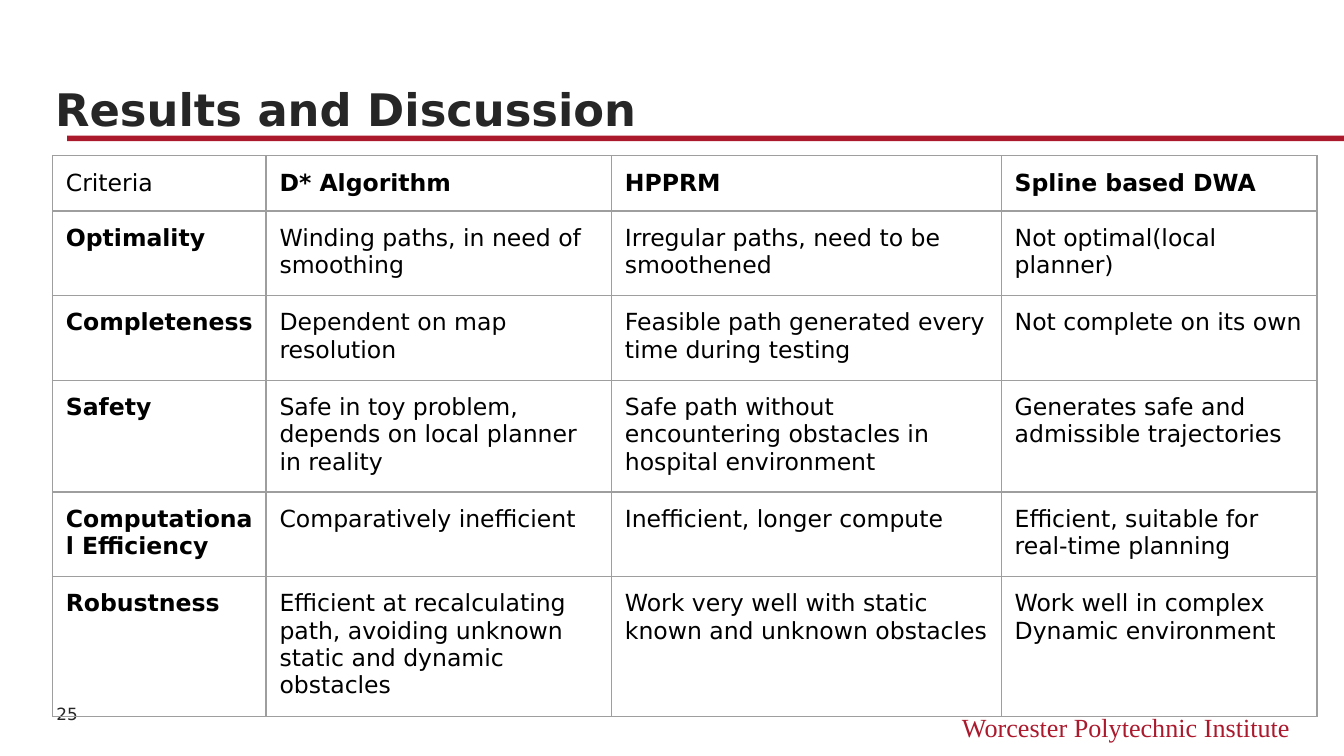
from lxml.etree import SubElement
from pptx import Presentation
from pptx.dml.color import RGBColor
from pptx.enum.shapes import MSO_SHAPE as Shape
from pptx.enum.text import MSO_ANCHOR as Anchor, PP_ALIGN as Align
from pptx.oxml.ns import qn
from pptx.util import Inches, Pt

CRIMSON, INK, BLACK, GRID = "AB192D", "262626", "000000", "9E9E9E"
SANS, SERIF = "DejaVu Sans", "Times New Roman"


def color(hex_string):
    return RGBColor.from_string(hex_string)


def write(holder, frame, text, size, ink=INK, font=SANS, bold=False,
          align=Align.LEFT, inset=(0.07, 0.04)):
    """Put one formatted paragraph in frame; holder carries the margins."""
    holder.margin_left = holder.margin_right = Inches(inset[0])
    holder.margin_top = holder.margin_bottom = Inches(inset[1])
    paragraph = frame.paragraphs[0]
    paragraph.alignment = align
    run = paragraph.add_run()
    run.text = text
    run.font.size, run.font.name, run.font.bold = Pt(size), font, bold
    run.font.color.rgb = color(ink)


prs = Presentation()
prs.slide_width = Inches(10)
prs.slide_height = prs.slide_width * 9 // 16
slide = prs.slides.add_slide(prs.slide_layouts[6])

# Title rule, running to the right edge
rule_left = prs.slide_width // 20
rule = slide.shapes.add_shape(Shape.RECTANGLE, rule_left, Inches(1.01),
                              prs.slide_width - rule_left, Inches(0.04))
rule.shadow.inherit = False
rule.fill.solid()
rule.fill.fore_color.rgb = color(CRIMSON)
rule.line.fill.background()

# Institute, title and page number
labels = [
    ("Worcester Polytechnic Institute", (6, 5.25, 3.67, 0.31), Anchor.TOP,
     dict(size=14, ink=CRIMSON, font=SERIF, align=Align.RIGHT)),
    ("Results and Discussion", (0.34, 0.42, 9.32, 0.63), Anchor.BOTTOM,
     dict(size=24, bold=True)),
    ("25", (0.35, 5.1, 0.6, 0.43), Anchor.MIDDLE, dict(size=9)),
]
for text, place, anchor, style in labels:
    frame = slide.shapes.add_textbox(*map(Inches, place)).text_frame
    frame.word_wrap = True
    frame.vertical_anchor = anchor
    write(frame, frame, text, **style)

# Comparison of planners
comparison = [
    ("Criteria", "D* Algorithm", "HPPRM", "Spline based DWA"),
    ("Optimality", "Winding paths, in need of smoothing",
     "Irregular paths, need to be smoothened", "Not optimal(local planner)"),
    ("Completeness", "Dependent on map resolution",
     "Feasible path generated every time during testing",
     "Not complete on its own"),
    ("Safety", "Safe in toy problem, depends on local planner in reality",
     "Safe path without encountering obstacles in hospital environment",
     "Generates safe and admissible trajectories"),
    ("Computational Efficiency", "Comparatively inefficient",
     "Inefficient, longer compute",
     "Efficient, suitable for real-time planning"),
    ("Robustness", "Efficient at recalculating path, avoiding unknown static "
     "and dynamic obstacles",
     "Work very well with static known and unknown obstacles",
     "Work well in complex Dynamic environment"),
]
column_widths = [1.59, 2.57, 2.9, 2.35]
row_heights = [0.41] + [0.63] * 4 + [0.89]

table = slide.shapes.add_table(
    len(row_heights), len(column_widths), Inches(0.39), Inches(1.16),
    Inches(sum(column_widths)), Inches(sum(row_heights))).table
table.first_row = table.horz_banding = False
for column, width in zip(table.columns, column_widths):
    column.width = Inches(width)
for row, height in zip(table.rows, row_heights):
    row.height = Inches(height)

for r, entries in enumerate(comparison):
    for c, entry in enumerate(entries):
        cell = table.cell(r, c)
        is_heading = (r == 0) != (c == 0)
        write(cell, cell.text_frame, entry, 12.6, BLACK, bold=is_heading,
              inset=(0.1, 0.1))
        properties = cell._tc.get_or_add_tcPr()
        for side in ("lnL", "lnR", "lnT", "lnB"):
            border = SubElement(properties, qn(f"a:{side}"), w=str(Pt(0.75)))
            fill = SubElement(border, qn("a:solidFill"))
            SubElement(fill, qn("a:srgbClr"), val=GRID)
        cell.fill.background()

prs.save("out.pptx")
